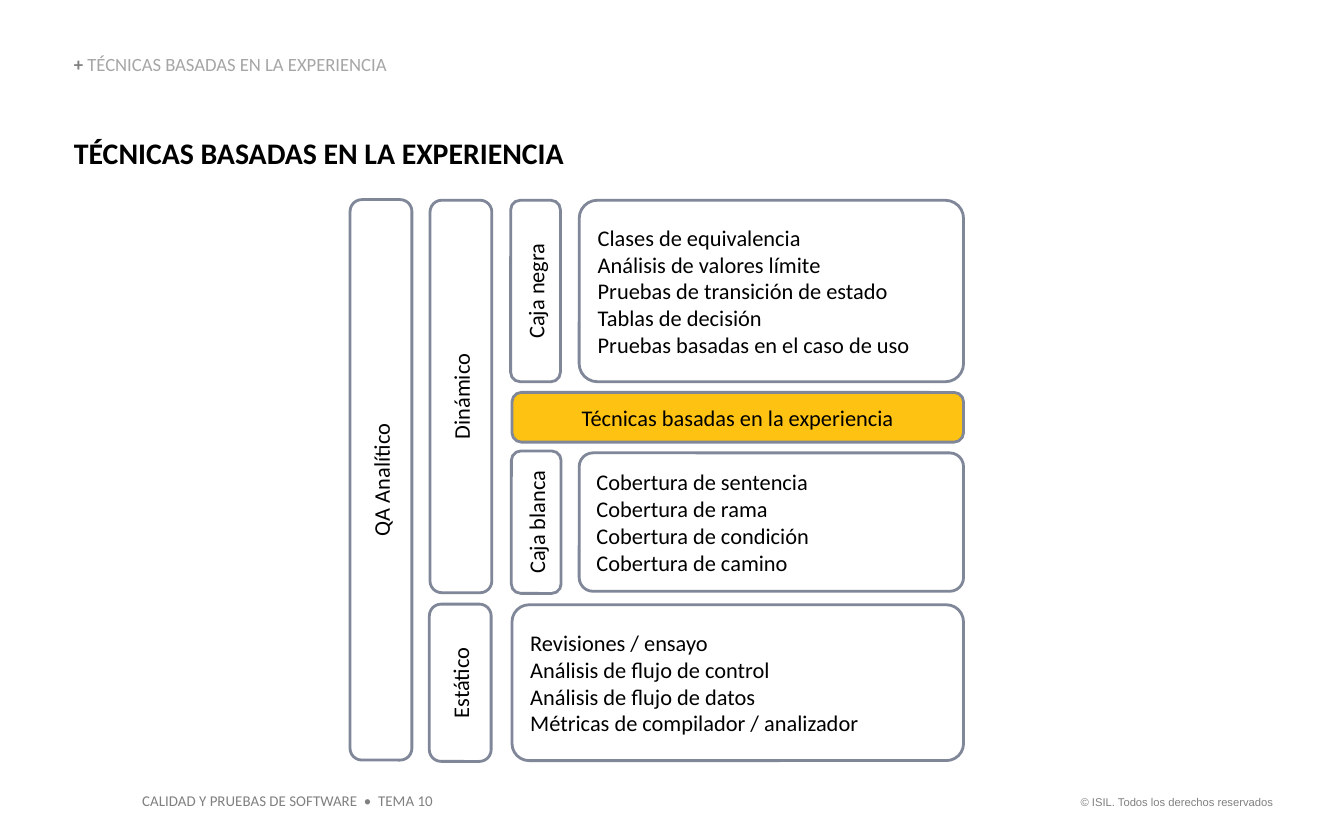
"""Build the slide on experience-based testing techniques."""
import pptx
import pptx.dml.color
import pptx.enum.shapes
import pptx.enum.text
import pptx.util

Inches = pptx.util.Inches
Pt = pptx.util.Pt
ALIGN = pptx.enum.text.PP_ALIGN
ANCHOR = pptx.enum.text.MSO_ANCHOR
COLORS = {"text": "000000", "gray": "808080", "light": "A6A6A6",
          "border": "808799", "box": "FFFFFF", "highlight": "FDC212"}


def rgb(name):
    return pptx.dml.color.RGBColor.from_string(COLORS[name])


def add_run(p, text, size, color="text", bold=False, font="Calibri"):
    r = p.add_run()
    r.text = text
    r.font.name = font
    r.font.size = Pt(size)
    r.font.bold = bold
    r.font.color.rgb = rgb(color)


prs = pptx.Presentation()
prs.slide_width = Inches(10)
prs.slide_height = Inches(6.25)
s = prs.slides.add_slide(prs.slide_layouts[5])

footers = [
    ("© ISIL. Todos los derechos reservados", 7.88, 5.87, 1.69, 0.2, 6, "Arial", ALIGN.RIGHT),
    ("CALIDAD Y PRUEBAS DE SOFTWARE  •  TEMA 10", 0.96, 5.84, 2.37, 0.24, 8, "Calibri", ALIGN.LEFT),
]
for text, x, y, w, h, size, font, align in footers:
    tf = s.shapes.add_textbox(Inches(x), Inches(y), Inches(w), Inches(h)).text_frame
    tf.word_wrap = False
    tf.auto_size = pptx.enum.text.MSO_AUTO_SIZE.SHAPE_TO_FIT_TEXT
    tf.paragraphs[0].alignment = align
    add_run(tf.paragraphs[0], text, size, "gray", font=font)

title = s.shapes.title
title.left, title.top, title.width, title.height = map(Inches, (0.55, 1, 3.9, 0.27))
header = s.shapes.add_textbox(Inches(0.55), Inches(0.41), Inches(3.61), Inches(0.15))
for sp, anchor in [(title, ANCHOR.TOP), (header, ANCHOR.BOTTOM)]:
    tf = sp.text_frame
    tf.margin_left = tf.margin_top = tf.margin_right = tf.margin_bottom = 0
    tf.word_wrap = True
    tf.auto_size = pptx.enum.text.MSO_AUTO_SIZE.SHAPE_TO_FIT_TEXT
    tf.vertical_anchor = anchor
    tf.paragraphs[0].alignment = ALIGN.LEFT
add_run(title.text_frame.paragraphs[0], "TÉCNICAS BASADAS EN LA EXPERIENCIA", 16, bold=True)
p = header.text_frame.paragraphs[0]
p.line_spacing = 0.9
add_run(p, "+ ", 10, "gray", True)
add_run(p, "TÉCNICAS BASADAS EN LA EXPERIENCIA", 10, "light")

boxes = [
    (4.31, 3.37, 2.86, 1.03, 0, 0.1, "box", ALIGN.LEFT,
     ["Cobertura de sentencia", "Cobertura de rama",
      "Cobertura de condición", "Cobertura de camino"]),
    (3.31, 1.98, 1.35, 0.37, 270, 0.19, "box", ALIGN.CENTER, ["Caja negra"]),
    (4.31, 1.49, 2.86, 1.35, 0, 0.1, "box", ALIGN.LEFT,
     ["Clases de equivalencia", "Análisis de valores límite",
      "Pruebas de transición de estado", "Tablas de decisión",
      "Pruebas basadas en el caso de uso"]),
    (3.46, 3.7, 1.06, 0.37, 270, 0.19, "box", ALIGN.CENTER, ["Caja blanca"]),
    (3.81, 2.92, 3.36, 0.37, 0, 0.19, "highlight", ALIGN.CENTER,
     ["Técnicas basadas en la experiencia"]),
    (3.81, 4.5, 3.36, 1.16, 0, 0.11, "box", ALIGN.LEFT,
     ["Revisiones / ensayo", "Análisis de flujo de control",
      "Análisis de flujo de datos", "Métricas de compilador / analizador"]),
    (1.97, 2.72, 2.92, 0.46, 270, 0.19, "box", ALIGN.CENTER, ["Dinámico"]),
    (2.84, 4.85, 1.17, 0.46, 270, 0.19, "box", ALIGN.CENTER, ["Estático"]),
    (0.75, 3.34, 4.17, 0.46, 270, 0.19, "box", ALIGN.CENTER, ["QA Analítico"]),
]
for x, y, w, h, rotation, radius, fill, align, lines in boxes:
    sp = s.shapes.add_shape(pptx.enum.shapes.MSO_SHAPE.ROUNDED_RECTANGLE,
                            Inches(x), Inches(y), Inches(w), Inches(h))
    sp.rotation = rotation
    sp.adjustments[0] = radius
    sp.shadow.inherit = False
    sp.fill.solid()
    sp.fill.fore_color.rgb = rgb(fill)
    sp.line.color.rgb = rgb("border")
    sp.line.width = Pt(1.5)
    tf = sp.text_frame
    tf.word_wrap = True
    tf.vertical_anchor = ANCHOR.MIDDLE
    for i, line in enumerate(lines):
        p = tf.add_paragraph() if i else tf.paragraphs[0]
        p.alignment = align
        add_run(p, line, 12)

prs.save("out.pptx")
